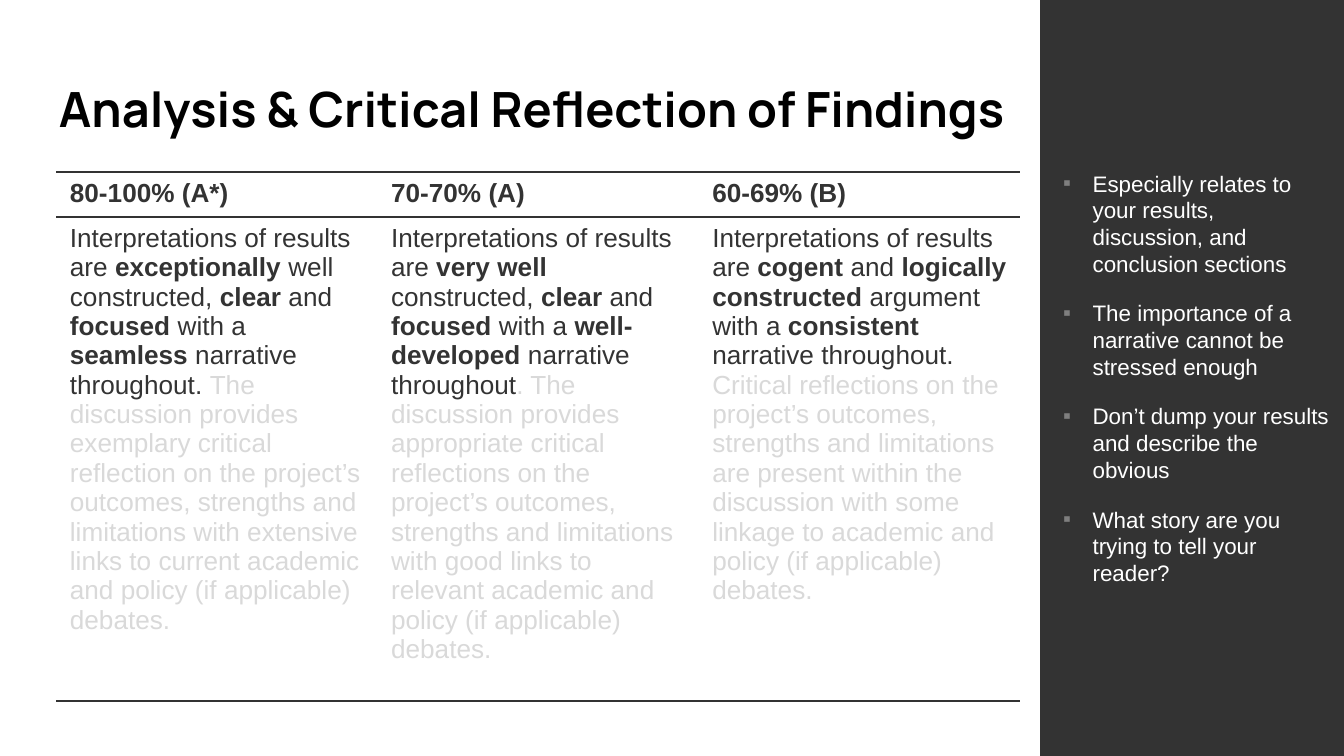
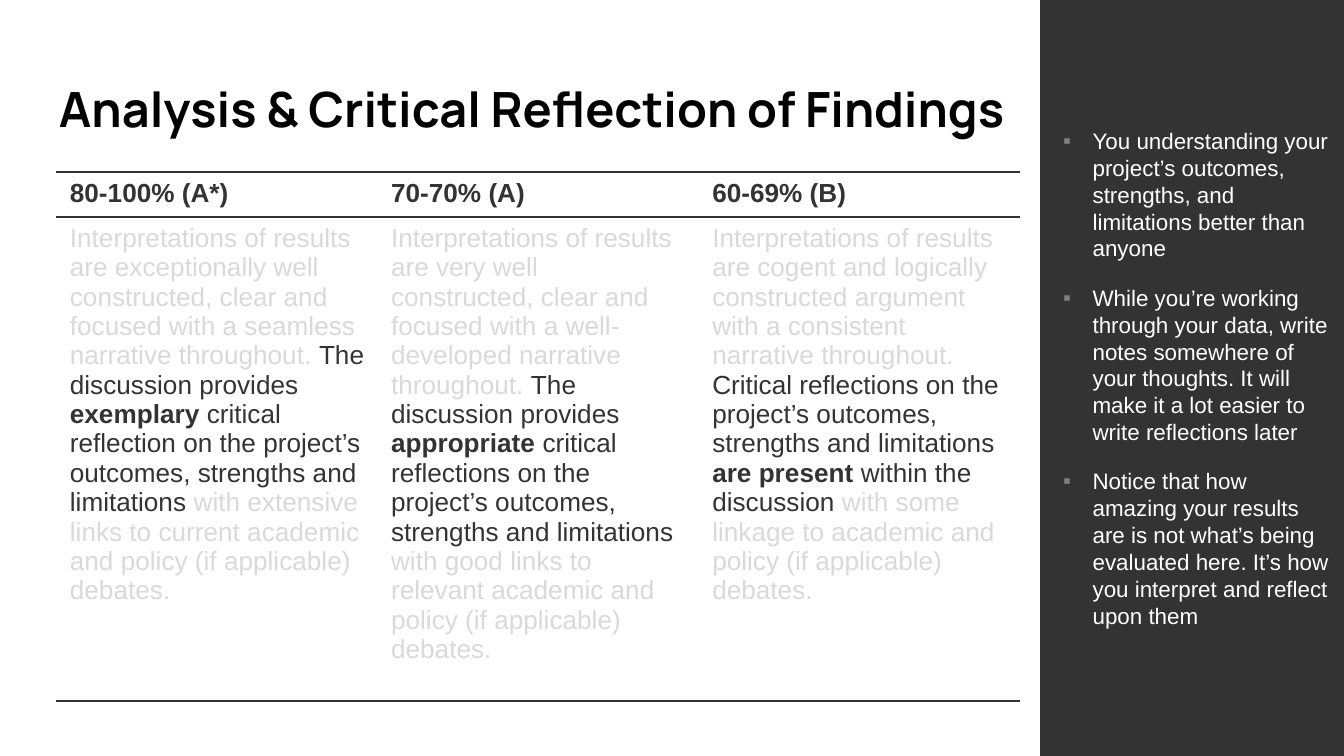
from copy import deepcopy
from dataclasses import dataclass
from typing import NamedTuple

from lxml.etree import SubElement
from pptx import Presentation
from pptx.dml.color import RGBColor
from pptx.enum.shapes import MSO_SHAPE
from pptx.enum.text import MSO_ANCHOR, PP_ALIGN
from pptx.oxml.ns import qn
from pptx.util import Pt

EMU_PER_PX = 4572


def px(n: int) -> int:
    return n * EMU_PER_PX


@dataclass(frozen=True)
class Theme:
    background: str = "FFFFFF"
    title: str = "000000"
    ink: str = "333333"
    muted: str = "D9D9D9"
    bullet: str = "7F7F7F"
    sidebar_text: str = "FFFFFF"
    title_font: str = "Manrope"
    body_font: str = "Arial"
    title_size: int = 26
    table_size: int = 14
    sidebar_size: int = 12
    bullet_gap: int = 12
    rule_width: int = 1


THEME = Theme()


class Box(NamedTuple):
    left: int
    top: int
    width: int
    height: int

    def emu(self) -> tuple[int, ...]:
        return tuple(px(n) for n in self)


class Span(NamedTuple):
    text: str
    color: str = THEME.ink
    bold: bool = False


class CriteriaSlide(NamedTuple):
    criteria: list[list[Span]]
    tips: list[str]


SLIDE_W, SLIDE_H = 2000, 1125
TITLE_BOX = Box(68, 98, 1864, 136)
SIDEBAR_BOX = Box(1548, 0, 452, SLIDE_H)
TABLE_LEFT, TABLE_TOP, COLUMN_W = 84, 256, 478
ROW_HEIGHTS = [66, 720]
TITLE = "Analysis & Critical Reflection of Findings"
GRADES = ["80-100% (A*)", "70-70% (A)", "60-69% (B)"]


def strong(text: str) -> Span:
    return Span(text, bold=True)


def dim(text: str) -> Span:
    return Span(text, THEME.muted)


SLIDES = [
    CriteriaSlide(
        criteria=[
            [
                Span("Interpretations of results are "), strong("exceptionally"),
                Span(" well constructed, "), strong("clear"), Span(" and "),
                strong("focused"), Span(" with a "), strong("seamless"),
                Span(" narrative throughout. "),
                dim("The discussion provides exemplary critical reflection on the "
                    "project’s outcomes, strengths and limitations with extensive links "
                    "to current academic and policy (if applicable) debates."),
            ],
            [
                Span("Interpretations of results are "), strong("very well "),
                Span("constructed, "), strong("clear"), Span(" and "),
                strong("focused"), Span(" with a "), strong("well- developed "),
                Span("narrative throughout"),
                dim(". The discussion provides appropriate critical reflections on the "
                    "project’s outcomes, strengths and limitations with good links to "
                    "relevant academic and policy (if applicable) debates."),
            ],
            [
                Span("Interpretations of results are "), strong("cogent"),
                Span(" and "), strong("logically constructed "),
                Span("argument with a "), strong("consistent"),
                Span(" narrative throughout.\n"),
                dim("Critical reflections on the project’s outcomes, strengths and "
                    "limitations are present within the discussion with some linkage to "
                    "academic and policy (if applicable) debates."),
            ],
        ],
        tips=[
            "Especially relates to your results, discussion, and conclusion sections",
            "The importance of a narrative cannot be stressed enough",
            "Don’t dump your results and describe the obvious",
            "What story are you trying to tell your reader?",
        ],
    ),
    CriteriaSlide(
        criteria=[
            [
                dim("Interpretations of results are exceptionally well constructed, "
                    "clear and focused with a seamless narrative throughout. "),
                Span("The discussion provides "), strong("exemplary"),
                Span(" critical reflection on the project’s outcomes, strengths and "
                     "limitations"),
                dim(" with extensive links to current academic and policy "
                    "(if applicable) debates."),
            ],
            [
                dim("Interpretations of results are very well constructed, clear and "
                    "focused with a well- developed narrative throughout. "),
                Span("The discussion provides "), strong("appropriate"),
                Span(" critical reflections on the project’s outcomes, strengths and "
                     "limitations "),
                dim("with good links to relevant academic and policy "
                    "(if applicable) debates."),
            ],
            [
                dim("Interpretations of results are cogent and logically constructed "
                    "argument with a consistent narrative throughout.\n"),
                Span("Critical reflections on the project’s outcomes, strengths and "
                     "limitations "),
                strong("are present "), Span("within the discussion"),
                dim(" with some linkage to academic and policy "
                    "(if applicable) debates."),
            ],
        ],
        tips=[
            "You understanding your project’s outcomes, strengths, and limitations "
            "better than anyone",
            "While you’re working through your data, write notes somewhere of your "
            "thoughts. It will make it a lot easier to write reflections later",
            "Notice that how amazing your results are is not what’s being evaluated "
            "here. It’s how you interpret and reflect upon them",
        ],
    ),
]


def add_span(p, span: Span, size: int, font: str) -> None:
    r = p.add_run()
    r.text = span.text.rstrip("\n")
    r.font.name = font
    r.font.size = Pt(size)
    r.font.bold = span.bold
    r.font.color.rgb = RGBColor.from_string(span.color)
    if span.text.endswith("\n"):
        p.add_line_break()
        p._p[-1].append(deepcopy(r._r.rPr))


def set_insets(tf, left: int, top: int, right: int, bottom: int) -> None:
    tf.margin_left, tf.margin_top = px(left), px(top)
    tf.margin_right, tf.margin_bottom = px(right), px(bottom)


def add_title(s) -> None:
    tf = s.shapes.add_textbox(*TITLE_BOX.emu()).text_frame
    tf.word_wrap = True
    tf.vertical_anchor = MSO_ANCHOR.TOP
    set_insets(tf, 20, 20, 20, 20)
    add_span(tf.paragraphs[0], Span(TITLE, THEME.title, True),
             THEME.title_size, THEME.title_font)


def set_rules(cell, *edges: str) -> None:
    tcPr = cell._tc.get_or_add_tcPr()
    for i, edge in enumerate(("lnL", "lnR", "lnT", "lnB")):
        ln = SubElement(tcPr, qn(f"a:{edge}"), w=str(Pt(THEME.rule_width)))
        tcPr.remove(ln)
        tcPr.insert(i, ln)
        if edge in edges:
            fill = SubElement(ln, qn("a:solidFill"))
            SubElement(fill, qn("a:srgbClr"), val=THEME.ink)
        else:
            SubElement(ln, qn("a:noFill"))


def add_criteria_table(s, criteria: list[list[Span]]) -> None:
    rows = [[[strong(grade)] for grade in GRADES], criteria]
    box = Box(TABLE_LEFT, TABLE_TOP, COLUMN_W * len(GRADES), sum(ROW_HEIGHTS))
    table = s.shapes.add_table(len(rows), len(GRADES), *box.emu()).table
    table.first_row = table.horz_banding = False
    for column in table.columns:
        column.width = px(COLUMN_W)
    for i, (row, height) in enumerate(zip(rows, ROW_HEIGHTS)):
        table.rows[i].height = px(height)
        for j, spans in enumerate(row):
            cell = table.cell(i, j)
            cell.fill.background()
            set_insets(cell, 20, 10, 20, 10)
            set_rules(cell, "lnT", "lnB")
            for span in spans:
                add_span(cell.text_frame.paragraphs[0], span,
                         THEME.table_size, THEME.body_font)


def set_bullet(p) -> None:
    pPr = p._p.get_or_add_pPr()
    pPr.set("marL", str(px(62)))
    pPr.set("indent", str(px(-44)))
    color = SubElement(pPr, qn("a:buClr"))
    SubElement(color, qn("a:srgbClr"), val=THEME.bullet)
    SubElement(pPr, qn("a:buFont"), typeface=THEME.body_font)
    SubElement(pPr, qn("a:buChar"), char="▪")


def add_sidebar(s, tips: list[str]) -> None:
    sp = s.shapes.add_shape(MSO_SHAPE.RECTANGLE, *SIDEBAR_BOX.emu())
    sp.shadow.inherit = False
    sp.fill.solid()
    sp.fill.fore_color.rgb = RGBColor.from_string(THEME.ink)
    sp.line.fill.background()
    tf = sp.text_frame
    tf.word_wrap = True
    tf.vertical_anchor = MSO_ANCHOR.MIDDLE
    set_insets(tf, 16, 10, 20, 10)
    for i, tip in enumerate(tips):
        p = tf.add_paragraph() if i else tf.paragraphs[0]
        set_bullet(p)
        p.alignment = PP_ALIGN.LEFT
        p.space_after = Pt(THEME.bullet_gap)
        add_span(p, Span(tip, THEME.sidebar_text), THEME.sidebar_size, THEME.body_font)


def build_slide(prs, content: CriteriaSlide) -> None:
    s = prs.slides.add_slide(prs.slide_layouts[6])
    s.background.fill.solid()
    s.background.fill.fore_color.rgb = RGBColor.from_string(THEME.background)
    add_title(s)
    add_criteria_table(s, content.criteria)
    add_sidebar(s, content.tips)


def main() -> None:
    prs = Presentation()
    prs.slide_width, prs.slide_height = px(SLIDE_W), px(SLIDE_H)
    for content in SLIDES:
        build_slide(prs, content)
    prs.save("out.pptx")


if __name__ == "__main__":
    main()
